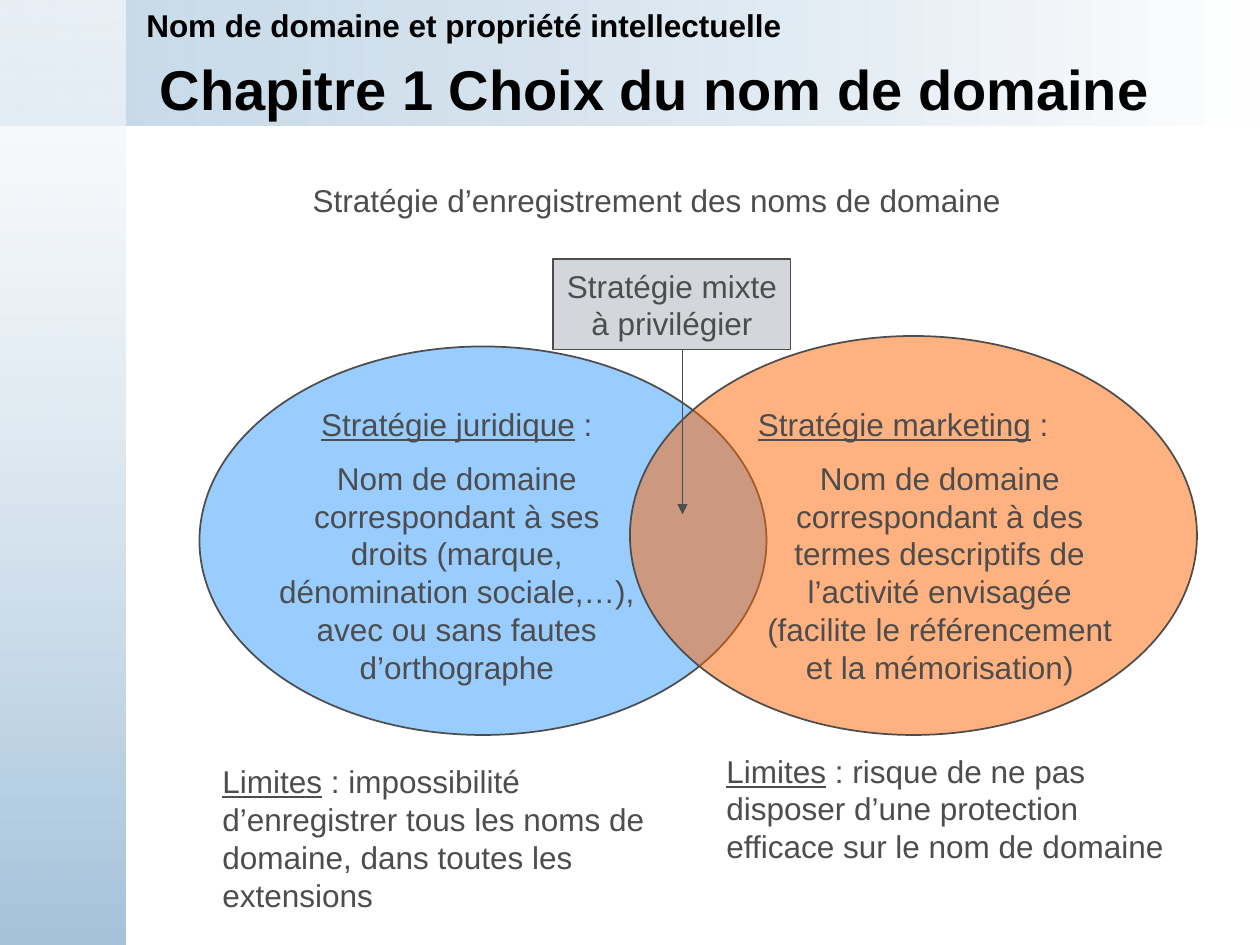
"""Build the slide on legal and marketing strategies for registering domain names."""
from dataclasses import dataclass

from lxml import etree
from pptx import Presentation
from pptx.dml.color import RGBColor
from pptx.enum.shapes import MSO_CONNECTOR, MSO_SHAPE
from pptx.enum.text import MSO_ANCHOR, PP_ALIGN
from pptx.oxml.ns import qn
from pptx.util import Inches, Pt

LEFT, CENTER = PP_ALIGN.LEFT, PP_ALIGN.CENTER
TOP, MIDDLE = MSO_ANCHOR.TOP, MSO_ANCHOR.MIDDLE
OVAL, RECTANGLE = MSO_SHAPE.OVAL, MSO_SHAPE.RECTANGLE
STRAIGHT = MSO_CONNECTOR.STRAIGHT
COLUMNS, ROWS = 120, 90


@dataclass(frozen=True)
class Theme:
    font: str = "Arial"
    title_size: int = 32
    body_size: int = 18
    gap: int = 9
    line: int = 1
    black: RGBColor = RGBColor.from_string("000000")
    ink: RGBColor = RGBColor.from_string("4D4D4D")
    white: RGBColor = RGBColor.from_string("FFFFFF")
    band: RGBColor = RGBColor.from_string("A5C3DB")
    legal: RGBColor = RGBColor.from_string("99CCFF")
    marketing: RGBColor = RGBColor.from_string("FF6600")
    label: RGBColor = RGBColor.from_string("D3D7DB")


theme = Theme()
presentation = Presentation()
presentation.slide_width, presentation.slide_height = Inches(10), Inches(7.5)
column = presentation.slide_width / COLUMNS
row = presentation.slide_height / ROWS
slide = presentation.slides.add_slide(presentation.slide_layouts[5])


def grid(left, top, width, height):
    """Turn columns and rows into slide lengths."""
    return [round(value) for value in (left * column, top * row, width * column, height * row)]


def write(shape, paragraphs, alignments, color=theme.ink, size=theme.body_size,
          bold=False, anchor=TOP, wrap=True, gap=theme.gap):
    """Fill a shape with paragraphs made of (text, underlined) runs."""
    frame = shape.text_frame
    frame.word_wrap, frame.vertical_anchor = wrap, anchor
    for index, (runs, alignment) in enumerate(zip(paragraphs, alignments)):
        paragraph = frame.add_paragraph() if index else frame.paragraphs[0]
        paragraph.alignment = alignment
        paragraph.space_before = Pt(gap if index else 0)
        for text, underlined in runs:
            run = paragraph.add_run()
            run.text = text
            run.font.name, run.font.size = theme.font, Pt(size)
            run.font.bold, run.font.underline = bold, underlined
            run.font.color.rgb = color


bands = [
    ((0, 0, COLUMNS, 12), 0, (theme.band, theme.white), 62),
    ((0, 0, 12, ROWS), 270, (theme.white, theme.band), 59),
]
for place, angle, colors, opacity in bands:
    band = slide.shapes.add_shape(RECTANGLE, *grid(*place))
    band.shadow.inherit = False
    band.line.fill.background()
    band.fill.gradient()
    band.fill.gradient_angle = angle
    for stop, color, position in zip(band.fill.gradient_stops, colors, (0, 1)):
        stop.color.rgb, stop.position = color, position
    first_color = next(band._element.iter(qn("a:srgbClr")))
    etree.SubElement(first_color, qn("a:alpha")).set("val", str(opacity * 1000))

title = slide.shapes.title
slide.shapes._spTree.append(title._element)
title.left, title.top, title.width, title.height = grid(14, 5, 101.4, 6.8)
write(title, [[("Chapitre 1 Choix du nom de domaine", False)]], [LEFT],
      theme.black, theme.title_size, bold=True, anchor=MIDDLE)

header = slide.shapes.add_textbox(*grid(12.75, 0, 107.25, 4.8))
write(header, [[("Nom de domaine et propriété intellectuelle", False)]], [LEFT],
      theme.black, bold=True)

ovals = [
    ((19, 33, 54, 37), theme.legal, 100),
    ((60, 32, 54, 38), theme.marketing, 50),
]
for place, color, opacity in ovals:
    oval = slide.shapes.add_shape(OVAL, *grid(*place))
    oval.shadow.inherit = False
    oval.fill.solid()
    oval.fill.fore_color.rgb = color
    oval.line.color.rgb, oval.line.width = theme.ink, Pt(theme.line)
    if opacity < 100:
        fill_color = next(oval._element.iter(qn("a:srgbClr")))
        etree.SubElement(fill_color, qn("a:alpha")).set("val", str(opacity * 1000))

strategies = [
    (25, "Stratégie juridique", CENTER,
     "Nom de domaine correspondant à ses droits (marque, dénomination sociale,…), "
     "avec ou sans fautes d’orthographe"),
    (71, "Stratégie marketing", LEFT,
     "Nom de domaine correspondant à des termes descriptifs de l’activité envisagée "
     "(facilite le référencement et la mémorisation)"),
]
for left, heading, alignment, description in strategies:
    strategy = slide.shapes.add_textbox(*grid(left, 38, 37, 28.2))
    write(strategy, [[(heading, True), (" :", False)], [(description, False)]],
          [alignment, CENTER])

subject = slide.shapes.add_textbox(*grid(28.6, 16.6, 67.9, 4.8))
write(subject, [[("Stratégie d’enregistrement des noms de domaine", False)]], [CENTER],
      anchor=MIDDLE, wrap=False)

left, top, width, height = grid(65, 33, 0, 16)
arrow = slide.shapes.add_connector(STRAIGHT, left, top, left + width, top + height)
arrow.line.color.rgb, arrow.line.width = theme.ink, Pt(theme.line)
etree.SubElement(arrow.line._get_or_add_ln(), qn("a:tailEnd")).set("type", "triangle")
etree.SubElement(arrow._element.spPr, qn("a:effectLst"))

mixed = slide.shapes.add_shape(RECTANGLE, *grid(52.7, 24.7, 22.6, 8.6))
mixed.shadow.inherit = False
mixed.fill.solid()
mixed.fill.fore_color.rgb = theme.label
mixed.line.color.rgb, mixed.line.width = theme.ink, Pt(theme.line)
write(mixed, [[("Stratégie mixte", False)], [("à privilégier", False)]],
      [CENTER, CENTER], anchor=MIDDLE, wrap=False, gap=0)

limits = [
    ((20, 72, 46, 15.6),
     " : impossibilité d’enregistrer tous les noms de domaine, dans toutes les extensions"),
    ((68, 71, 46, 12),
     " : risque de ne pas disposer d’une protection efficace sur le nom de domaine"),
]
for place, description in limits:
    limit = slide.shapes.add_textbox(*grid(*place))
    write(limit, [[("Limites", True), (description, False)]], [LEFT])

presentation.save("out.pptx")
